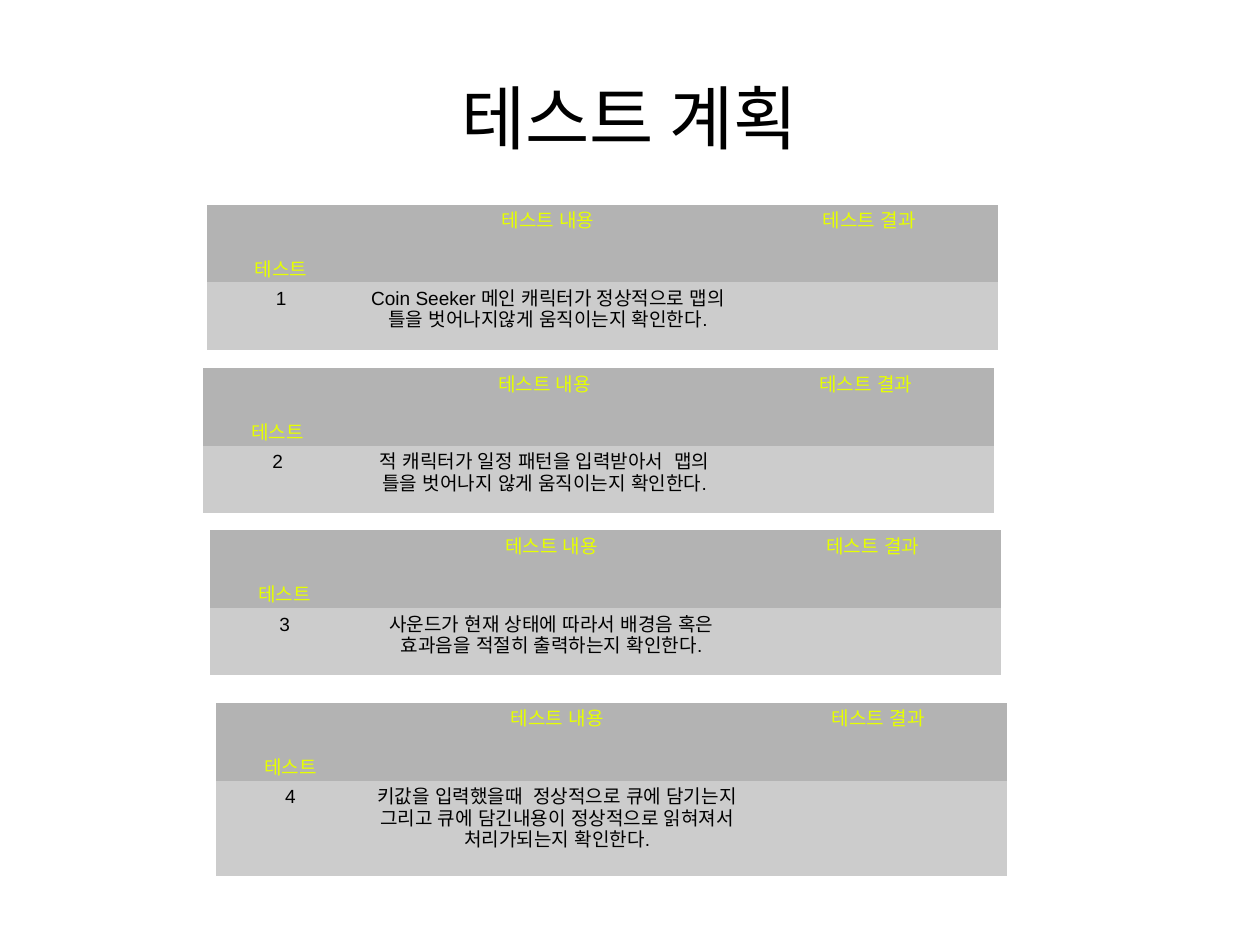
import pptx
import pptx.util
import pptx.dml.color
import pptx.enum.text
import pptx.oxml.ns

Inches = pptx.util.Inches
ALIGN = pptx.enum.text.PP_ALIGN
ANCHOR = pptx.enum.text.MSO_ANCHOR
PLAIN = "{2D5ABB26-0587-4C30-8999-92F81FD0307C}"  # no style, no grid
COLS = (1.3, 3.37, 2.25)
HEADS = ("테스트", "테스트 내용", "테스트 결과")

# left, top, body height, test content
TESTS = (
    (1.81, 1.79, 0.59, "Coin Seeker 메인 캐릭터가 정상적으로 맵의 틀을 벗어나지않게 움직이는지 확인한다."),
    (1.78, 3.22, 0.59, "적 캐릭터가 일정 패턴을 입력받아서  맵의 틀을 벗어나지 않게 움직이는지 확인한다."),
    (1.84, 4.64, 0.59, "사운드가 현재 상태에 따라서 배경음 혹은 효과음을 적절히 출력하는지 확인한다."),
    (1.89, 6.15, 0.83, "키값을 입력했을때  정상적으로 큐에 담기는지 그리고 큐에 담긴내용이 정상적으로 읽혀져서 처리가되는지 확인한다."),
)


def color(code):
    return pptx.dml.color.RGBColor.from_string(code)


def write(frame, text, size, font, code):
    frame.text = text
    para = frame.paragraphs[0]
    para.alignment = ALIGN.CENTER
    for run in para.runs:
        run.font.size = pptx.util.Pt(size)
        run.font.name = font
        run.font.bold = False
        run.font.color.rgb = color(code)
        # Korean letters take the East Asian font
        east = run.font._element.makeelement(
            pptx.oxml.ns.qn("a:ea"), {"typeface": font})
        run.font._element.append(east)


def add_title(slide, left, top, width, height):
    box = slide.shapes.add_textbox(
        Inches(left), Inches(top), Inches(width), Inches(height))
    frame = box.text_frame
    frame.word_wrap = True
    frame.vertical_anchor = ANCHOR.MIDDLE
    frame.margin_left = frame.margin_right = 0
    frame.margin_top = frame.margin_bottom = 0
    write(frame, "테스트 계획", 44, "Noto Sans CJK KR", "000000")


def add_test(slide, left, top, body, number, content):
    heights = (0.68, body)
    shape = slide.shapes.add_table(
        2, 3, Inches(left), Inches(top), Inches(sum(COLS)), Inches(sum(heights)))
    table = shape.table
    table.first_row = table.horz_banding = False
    table._tbl.tblPr.find(pptx.oxml.ns.qn("a:tableStyleId")).text = PLAIN
    for col, width in zip(table.columns, COLS):
        col.width = Inches(width)
    for row, height in zip(table.rows, heights):
        row.height = Inches(height)

    # Header row, then the test itself
    rows = ((HEADS, "B3B3B3", "E6FF00"),
            ((str(number), content, ""), "CCCCCC", "000000"))
    for r, (texts, fill, ink) in enumerate(rows):
        for c, text in enumerate(texts):
            cell = table.cell(r, c)
            cell.fill.solid()
            cell.fill.fore_color.rgb = color(fill)
            if text:
                write(cell.text_frame, text, 12, "Arial", ink)
    label = table.cell(0, 0)
    label.vertical_anchor = ANCHOR.BOTTOM
    label.margin_bottom = Inches(0.02)


def main():
    # The page is 28 by 21 centimetres
    deck = pptx.Presentation()
    deck.slide_width = Inches(28 / 2.54)
    deck.slide_height = Inches(21 / 2.54)
    slide = deck.slides.add_slide(deck.slide_layouts[6])
    add_title(slide, 0.55, 0.33, 9.92, 1.38)
    for number, (left, top, body, content) in enumerate(TESTS, 1):
        add_test(slide, left, top, body, number, content)
    deck.save("out.pptx")


if __name__ == "__main__":
    main()
